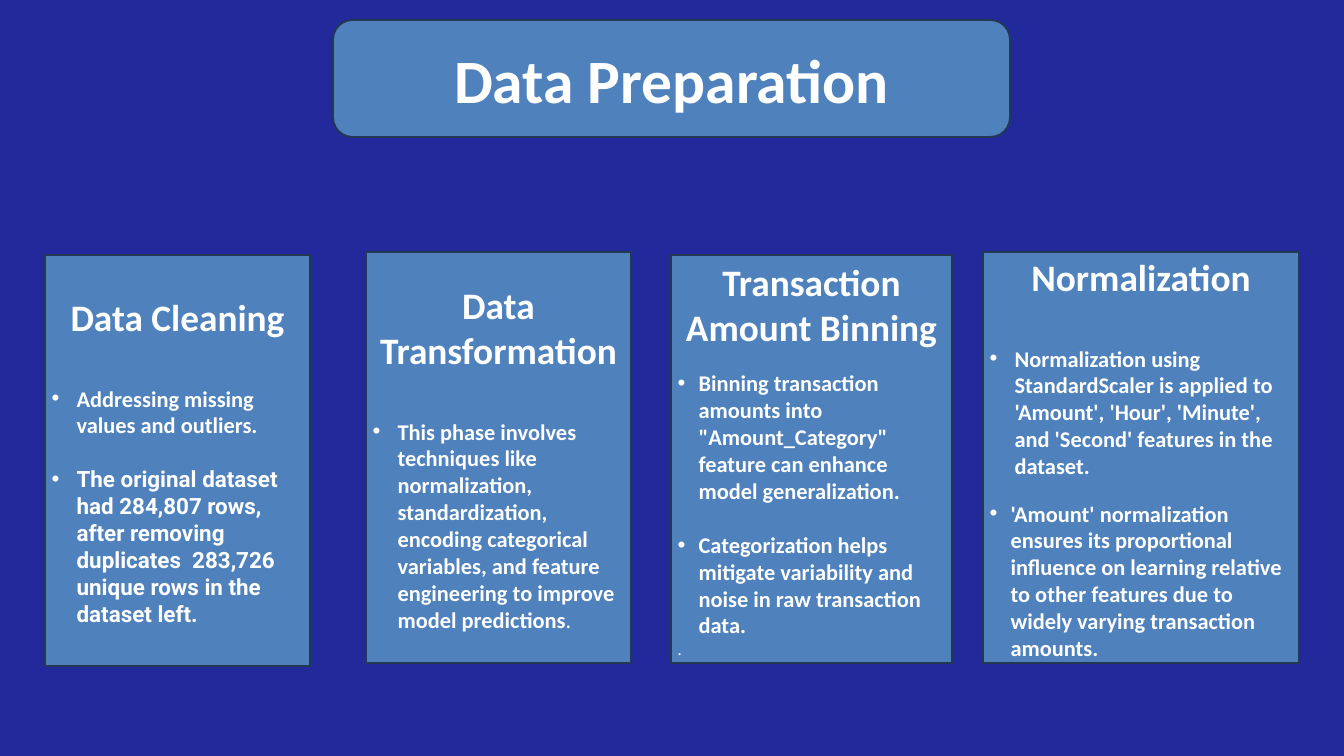
"""Build the data preparation slide with four topic cards."""
from dataclasses import dataclass

from lxml.etree import SubElement as Sub
from pptx import Presentation
from pptx.dml.color import RGBColor as Rgb
from pptx.enum.shapes import MSO_SHAPE as Kind
from pptx.enum.text import MSO_ANCHOR as Anchor, PP_ALIGN as Align
from pptx.oxml.ns import qn
from pptx.util import Emu, Pt

SCALE = 914400 / 67.2
BACK, FILL, EDGE, WHITE = "222A9B", "4F81BD", "233953", "FFFFFF"


@dataclass
class Item:
    """A body paragraph; gap is the space above it in points."""
    text: str
    gap: int = 0
    inset: int = 25
    font: str = "Calibri"
    size: int = 24
    bold: bool = True
    tail: str = ""


@dataclass
class Card:
    """A box with a heading and body paragraphs."""
    left: int
    top: int
    width: int
    height: int
    head: str
    items: tuple[Item, ...] = ()
    size: int = 40
    kind: Kind = Kind.RECTANGLE


CARDS = (
    Card(333, 20, 677, 117, "Data Preparation", size=66, kind=Kind.ROUNDED_RECTANGLE),
    Card(45, 255, 265, 411, "Data Cleaning", (
        Item("Addressing missing values and outliers.", 49),
        Item("The original dataset had 284,807 rows, after removing duplicates  "
             "283,726 unique rows in the dataset left.", 29, font="Roboto"),
    )),
    Card(366, 252, 265, 411, "Data Transformation", (
        Item("This phase involves techniques like normalization, standardization, "
             "encoding categorical variables, and feature engineering to improve "
             "model predictions", 49, tail="."),
    )),
    Card(671, 255, 281, 408, "Transaction Amount Binning", (
        Item('Binning transaction amounts into "Amount_Category" feature can '
             "enhance model generalization.", 22, 21),
        Item("Categorization helps mitigate variability and noise in raw "
             "transaction data.", 29, 21),
        Item(".", inset=0, size=18, bold=False),
    )),
    Card(983, 252, 316, 411, "Normalization", (
        Item("Normalization using StandardScaler is applied to 'Amount', 'Hour', "
             "'Minute', and 'Second' features in the dataset.", 49),
        Item("'Amount' normalization ensures its proportional influence on "
             "learning relative to other features due to widely varying "
             "transaction amounts.", 22, 21),
    )),
)


def px(num: int) -> Emu:
    """Turn pixels into EMU."""
    return Emu(round(num * SCALE))


def paint(fill, tint: str) -> None:
    """Give a fill one solid colour."""
    fill.solid()
    fill.fore_color.rgb = Rgb.from_string(tint)


def style(run, size: int, bold: bool = True, font: str = "Calibri") -> None:
    """Format a run in white."""
    run.font.size, run.font.bold, run.font.name = Pt(size), bold, font
    paint(run.font.fill, WHITE)


def dot(para, inset: int) -> None:
    """Hang a round bullet at the given indent."""
    props = para._p.get_or_add_pPr()
    props.set("marL", str(px(inset)))
    props.set("indent", str(-px(inset)))
    Sub(props, qn("a:buFont")).set("typeface", "Arial")
    Sub(props, qn("a:buChar")).set("char", "•")


def write(para, item: Item) -> None:
    """Fill a body paragraph."""
    para.text = item.text
    para.alignment = Align.LEFT
    para.space_before = Pt(item.gap)
    style(para.runs[0], item.size, item.bold, item.font)
    if item.tail:
        run = para.add_run()
        run.text = item.tail
        style(run, item.size, False, item.font)
    if item.inset:
        dot(para, item.inset)


def draw(slide, card: Card) -> None:
    """Draw a card with its text."""
    area = map(px, (card.left, card.top, card.width, card.height))
    shape = slide.shapes.add_shape(card.kind, *area)
    shape.shadow.inherit = False
    paint(shape.fill, FILL)
    paint(shape.line.fill, EDGE)
    shape.line.width = Pt(2)
    frame = shape.text_frame
    frame.word_wrap = True
    frame.vertical_anchor = Anchor.MIDDLE
    frame.text = card.head
    head = frame.paragraphs[0]
    head.alignment = Align.CENTER
    style(head.runs[0], card.size)
    for item in card.items:
        write(frame.add_paragraph(), item)


def main() -> None:
    """Build and save the deck."""
    deck = Presentation()
    deck.slide_width, deck.slide_height = px(1344), px(756)
    slide = deck.slides.add_slide(deck.slide_layouts[6])
    paint(slide.background.fill, BACK)
    for card in CARDS:
        draw(slide, card)
    deck.save("out.pptx")


if __name__ == "__main__":
    main()
